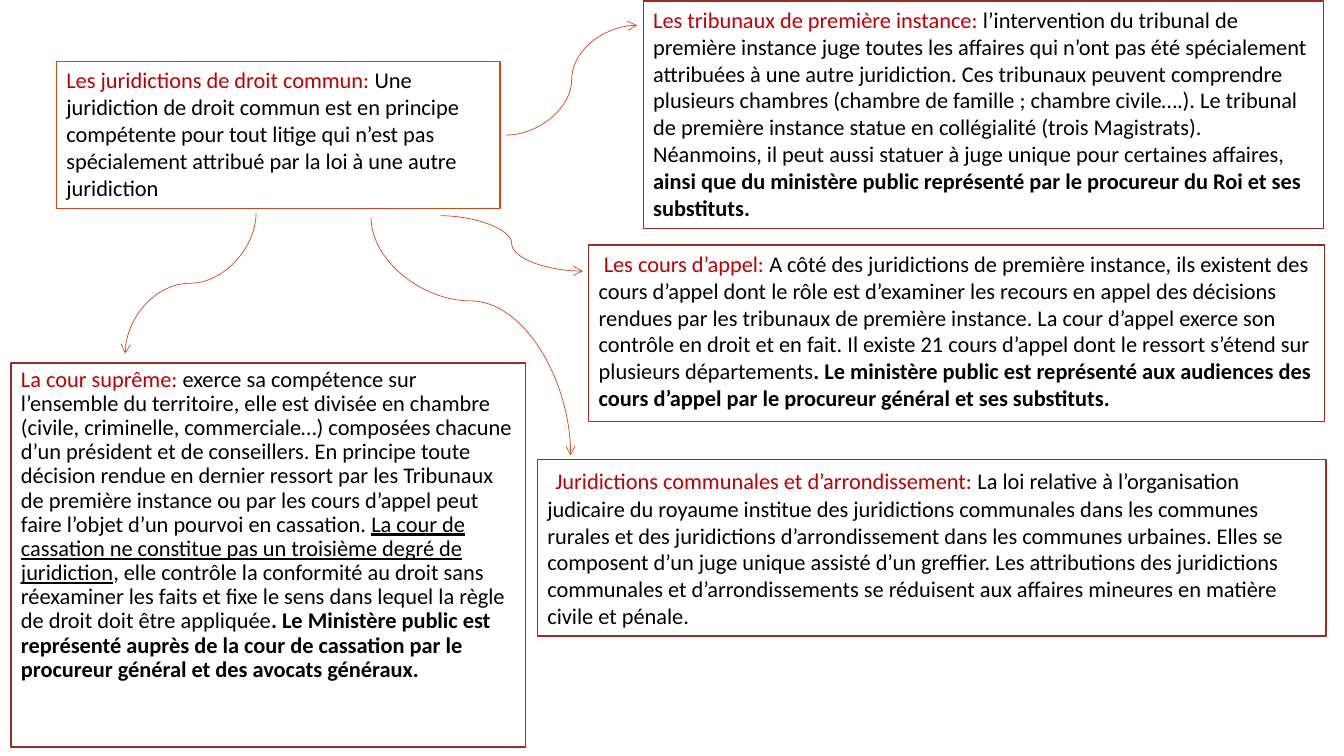
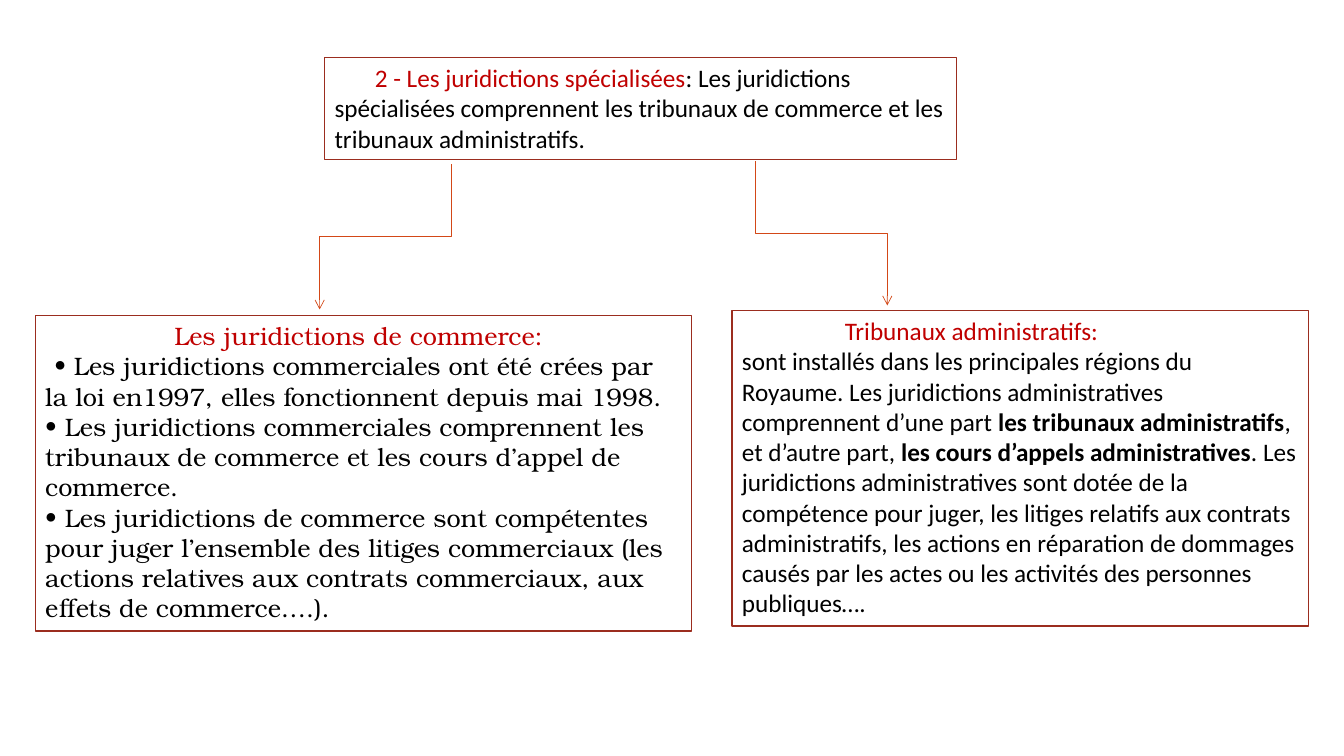
from lxml import etree
from pptx import Presentation
from pptx.dml.color import RGBColor
from pptx.enum.shapes import MSO_CONNECTOR
from pptx.enum.text import MSO_ANCHOR, MSO_AUTO_SIZE
from pptx.oxml.ns import qn
from pptx.util import Inches, Pt

BRICK, ORANGE = "9B2D1F", "D34817"
SERIF = "TeX Gyre Bonum"

# Run formats
FORMATS = {
    "lead": {"color": "C00000"},
    "body": {},
    "bold": {"bold": True},
    "underline": {"underline": True},
    "spacer": {"name": SERIF, "size": Pt(18)},
}

# Boxes: place (left, top, width, height) and paragraphs of (format, text) runs
# Optional: border, size, font, spacing, and first-line indents by paragraph
COMMON_LAW = [
    {"place": (0.11, 3.6, 5.1, 3.81), "spacing": 0.9, "grow": False, "paragraphs": [[
        ("lead", "La cour suprême: "),
        ("body", "exerce sa compétence sur l’ensemble du territoire, elle est divisée en chambre "
                 "(civile, criminelle, commerciale…) composées chacune d’un président et de "
                 "conseillers. En principe toute décision rendue en dernier ressort par les "
                 "Tribunaux de première instance ou par les cours d’appel peut faire l’objet d’un "
                 "pourvoi en cassation. "),
        ("underline", "La cour de cassation ne constitue pas un troisième degré de juridiction"),
        ("body", ", elle contrôle la conformité au droit sans réexaminer les faits et fixe le sens "
                 "dans lequel la règle de droit doit être appliquée"),
        ("bold", ". Le Ministère public est représenté auprès de la cour de cassation par le "
                 "procureur général et des avocats généraux.")]]},
    {"place": (0.56, 0.61, 4.4, 1.46), "border": ORANGE, "paragraphs": [[
        ("lead", "Les juridictions de droit commun: "),
        ("body", "Une juridiction de droit commun est en principe compétente pour tout litige qui "
                 "n’est pas spécialement attribué par la loi à une autre juridiction")]]},
    {"place": (6.38, 0.01, 6.75, 2.26), "paragraphs": [[
        ("lead", "Les tribunaux de première instance: "),
        ("body", "l’intervention du tribunal de première instance juge toutes les affaires qui "
                 "n’ont pas été spécialement attribuées à une autre juridiction. Ces tribunaux "
                 "peuvent comprendre plusieurs chambres (chambre de famille ; chambre civile….). "
                 "Le tribunal de première instance statue en collégialité (trois Magistrats). "
                 "Néanmoins, il peut aussi statuer à juge unique pour certaines affaires, "),
        ("bold", "ainsi que du ministère public représenté par le procureur du Roi et ses "
                 "substituts.")]]},
    {"place": (5.84, 2.43, 7.3, 1.75), "indents": [0.05], "paragraphs": [[
        ("lead", "Les cours d’appel: "),
        ("body", "A côté des juridictions de première instance, ils existent des cours d’appel dont "
                 "le rôle est d’examiner les recours en appel des décisions rendues par les "
                 "tribunaux de première instance. La cour d’appel exerce son contrôle en droit et "
                 "en fait. Il existe 21 cours d’appel dont le ressort s’étend sur plusieurs "
                 "départements"),
        ("bold", ". Le ministère public est représenté aux audiences des cours d’appel par le "
                 "procureur général et ses substituts.")]]},
    {"place": (5.33, 4.56, 7.82, 1.75), "paragraphs": [[
        ("spacer", " "),
        ("lead", "Juridictions communales et d’arrondissement: "),
        ("body", "La loi relative à l’organisation judicaire du royaume institue des juridictions "
                 "communales dans les communes rurales et des juridictions d’arrondissement dans "
                 "les communes urbaines. Elles se composent d’un juge unique assisté d’un greffier. "
                 "Les attributions des juridictions communales et d’arrondissements se réduisent "
                 "aux affaires mineures en matière civile et pénale.")]]},
]
SPECIALISED = [
    {"place": (3.22, 0.57, 6.27, 1.01), "size": 18, "indents": [0.4], "paragraphs": [[
        ("lead", "2 - Les juridictions spécialisées"),
        ("body", ": Les juridictions spécialisées comprennent les tribunaux de commerce et les "
                 "tribunaux administratifs.")]]},
    {"place": (0.35, 3.13, 6.51, 3.13), "size": 18, "font": SERIF, "indents": [1.28, 0.09],
     "paragraphs": [
        [("lead", "Les juridictions de commerce:")],
        [("body", "• Les juridictions commerciales ont été crées par la loi en1997, elles "
                  "fonctionnent depuis mai 1998.")],
        [("body", "• Les juridictions commerciales comprennent les tribunaux de commerce et les "
                  "cours d’appel de commerce.")],
        [("body", "• Les juridictions de commerce sont compétentes pour juger l’ensemble des "
                  "litiges commerciaux (les actions relatives aux contrats commerciaux, aux "
                  "effets de commerce….).")]]},
    {"place": (7.26, 3.08, 5.72, 3.13), "size": 18, "indents": [1.02], "paragraphs": [
        [("lead", "Tribunaux administratifs:")],
        [("body", "sont installés dans les principales régions du Royaume. Les juridictions "
                  "administratives comprennent d’une part "),
         ("bold", "les tribunaux administratifs"),
         ("body", ", et d’autre part, "),
         ("bold", "les cours d’appels administratives"),
         ("body", ". Les juridictions administratives sont dotée de la compétence pour juger, les "
                  "litiges relatifs aux contrats administratifs, les actions en réparation de "
                  "dommages causés par les actes ou les activités des personnes publiques….")]]},
]

# Arrows: start, end, leaves downwards, position of the bend
COMMON_LAW_ARROWS = [
    ((3.68, 2.16), (5.66, 4.52), True, 0.35),
    ((2.54, 2.11), (1.24, 3.51), True, 0.5),
    ((5.02, 1.34), (6.32, 0.25), False, 0.5),
    ((4.37, 2.14), (5.78, 2.69), False, 0.5),
]
SPECIALISED_ARROWS = [
    ((4.48, 1.63), (3.17, 3.07), True, 0.5),
    ((7.49, 1.6), (8.8, 3.03), True, 0.5),
]

SLIDES = [
    (COMMON_LAW, COMMON_LAW_ARROWS, MSO_CONNECTOR.CURVE),
    (SPECIALISED, SPECIALISED_ARROWS, MSO_CONNECTOR.ELBOW),
]


def rgb(value):
    return RGBColor.from_string(value)


def add_box(slide, box):
    frame = slide.shapes.add_textbox(*map(Inches, box["place"]))
    frame.fill.solid()
    frame.fill.fore_color.rgb = rgb("FFFFFF")
    frame.line.color.rgb = rgb(box.get("border", BRICK))
    frame.line.width = Pt(1)
    text = frame.text_frame
    text.word_wrap = True
    text.vertical_anchor = MSO_ANCHOR.TOP
    grow = box.get("grow", True)
    text.auto_size = MSO_AUTO_SIZE.SHAPE_TO_FIT_TEXT if grow else MSO_AUTO_SIZE.NONE
    indents = box.get("indents", [])
    for index, runs in enumerate(box["paragraphs"]):
        paragraph = text.add_paragraph() if index else text.paragraphs[0]
        paragraph.line_spacing = box.get("spacing", 1.0)
        if index < len(indents):
            properties = paragraph._p.get_or_add_pPr()
            properties.set("marL", "0")
            properties.set("indent", str(Inches(indents[index])))
        base = {"name": box.get("font", "Calibri"), "size": Pt(box.get("size", 16)),
                "color": "000000"}
        for style, words in runs:
            run = paragraph.add_run()
            run.text = words
            values = {**base, **FORMATS[style]}
            run.font.color.rgb = rgb(values.pop("color"))
            for attribute, value in values.items():
                setattr(run.font, attribute, value)


def add_arrow(slide, kind, start, end, downwards, bend):
    (x1, y1), (x2, y2) = start, end
    if downwards:
        # A turned frame: its width runs along the vertical distance
        middle_x, middle_y = (x1 + x2) / 2, (y1 + y2) / 2
        half_w, half_h = abs(y2 - y1) / 2, abs(x2 - x1) / 2
        ends = (middle_x - half_w, middle_y - half_h, middle_x + half_w, middle_y + half_h)
    else:
        ends = (x1, y1, x2, y2)
    arrow = slide.shapes.add_connector(kind, *map(Inches, ends))
    properties = arrow._element.spPr
    if downwards:
        frame = properties.find(qn("a:xfrm"))
        frame.set("rot", str((270 if x2 > x1 else 90) * 60000))
        if x2 > x1:
            frame.set("flipH", "1")
    geometry = properties.find(qn("a:prstGeom"))
    adjustments = geometry.find(qn("a:avLst"))
    if adjustments is None:
        adjustments = etree.SubElement(geometry, qn("a:avLst"))
    etree.SubElement(adjustments, qn("a:gd"), name="adj1", fmla=f"val {round(bend * 100000)}")
    arrow.line.color.rgb = rgb(ORANGE)
    arrow.line.width = Pt(0.5)
    etree.SubElement(properties.find(qn("a:ln")), qn("a:tailEnd"), type="arrow")
    etree.SubElement(properties, qn("a:effectLst"))


def main():
    deck = Presentation()
    deck.slide_width, deck.slide_height = Inches(13.33), Inches(7.5)
    for boxes, arrows, kind in SLIDES:
        slide = deck.slides.add_slide(deck.slide_layouts.get_by_name("Blank"))
        for box in boxes:
            add_box(slide, box)
        for arrow in arrows:
            add_arrow(slide, kind, *arrow)
    deck.save("out.pptx")


if __name__ == "__main__":
    main()
